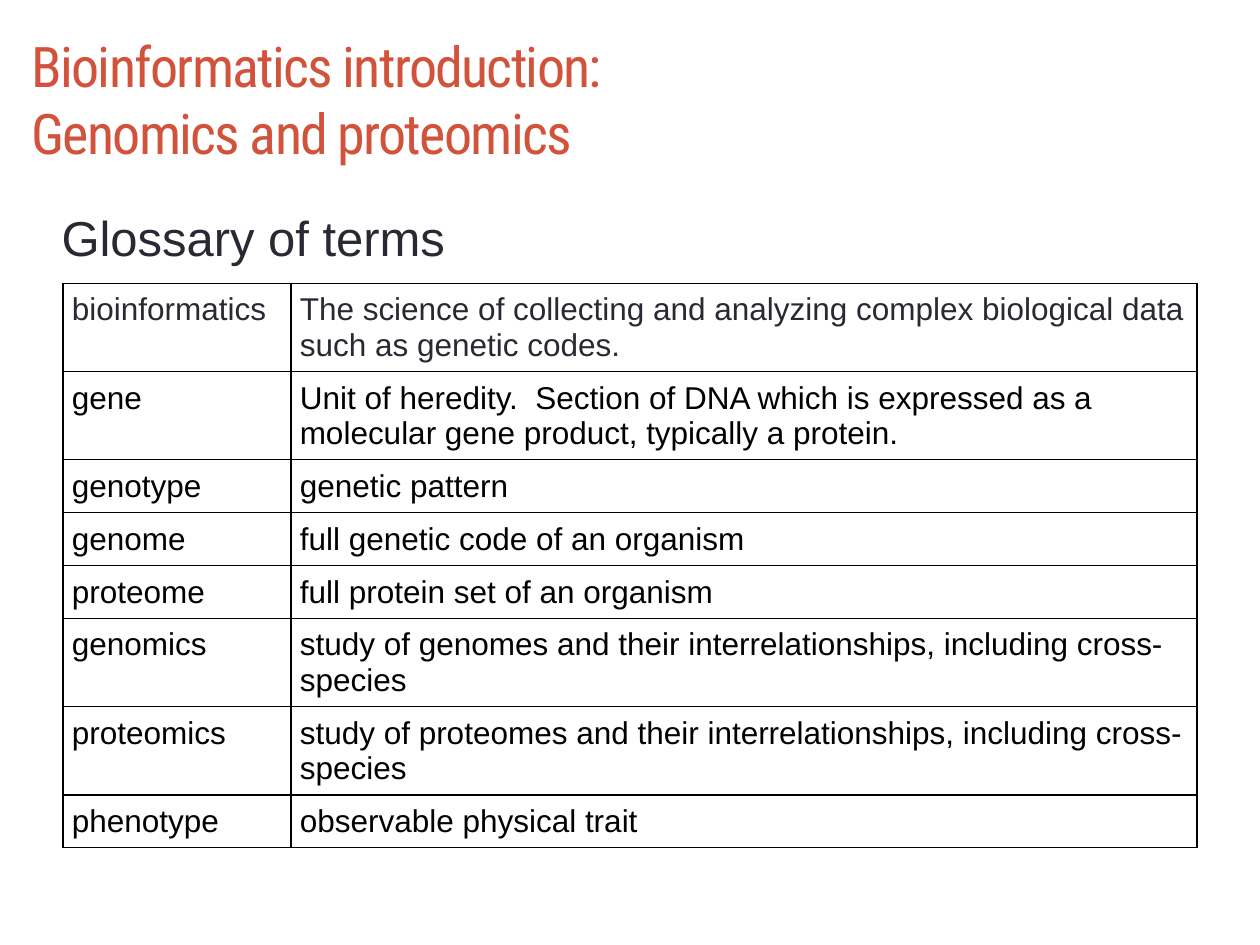
from dataclasses import dataclass

from lxml import etree
from pptx import Presentation
from pptx.dml.color import RGBColor
from pptx.enum.text import MSO_ANCHOR, MSO_AUTO_SIZE, PP_ALIGN
from pptx.oxml.ns import qn
from pptx.util import Inches, Pt

TOP = MSO_ANCHOR.TOP
LEFT = PP_ALIGN.LEFT
NO_FIT = MSO_AUTO_SIZE.NONE
FIT_SHAPE = MSO_AUTO_SIZE.SHAPE_TO_FIT_TEXT
TITLE_ONLY = 5
BORDER_SIDES = ("a:lnL", "a:lnR", "a:lnT", "a:lnB")


@dataclass(frozen=True)
class Theme:
    heading_font: str = "Roboto Condensed"
    body_font: str = "Arial"
    accent: str = "D2533C"
    dark: str = "292934"
    black: str = "000000"
    title_size: int = 32
    subtitle_size: int = 28
    body_size: int = 18
    title_spacing: int = -1
    border_width: float = 0.75


THEME = Theme()

COLUMN_WIDTHS = (1.81, 7.19)
ONE_LINE, TWO_LINES = 0.42, 0.7
CELL_MARGIN = 0.07

GLOSSARY = [
    ("bioinformatics", "The science of collecting and analyzing complex "
     "biological data such as genetic codes.", TWO_LINES),
    ("gene", "Unit of heredity.  Section of DNA which is expressed as a "
     "molecular gene product, typically a protein.", TWO_LINES),
    ("genotype", "genetic pattern", ONE_LINE),
    ("genome", "full genetic code of an organism", ONE_LINE),
    ("proteome", "full protein set of an organism", ONE_LINE),
    ("genomics", "study of genomes and their interrelationships, "
     "including cross-species", TWO_LINES),
    ("proteomics", "study of proteomes and their interrelationships, "
     "including cross-species", TWO_LINES),
    ("phenotype", "observable physical trait", ONE_LINE),
]


def style_paragraph(para, font_name, size, color):
    para.alignment = LEFT
    para.font.name = font_name
    para.font.size = Pt(size)
    para.font.bold = False
    para.font.color.rgb = RGBColor.from_string(color)


def add_title(page, text):
    title = page.shapes.title
    title.left, title.top = Inches(0.15), Inches(0.17)
    title.width, title.height = Inches(9.57), Inches(1.78)
    frame = title.text_frame
    frame.text = text
    frame.word_wrap = True
    frame.auto_size = NO_FIT
    frame.vertical_anchor = TOP
    frame.margin_top = Inches(0.08)
    para = frame.paragraphs[0]
    style_paragraph(para, THEME.heading_font, THEME.title_size, THEME.accent)
    for span in para.runs:
        span.font._element.set("spc", str(THEME.title_spacing * 100))


def add_subtitle(page, text):
    box = page.shapes.add_textbox(
        Inches(0.39), Inches(1.6), Inches(3.28), Inches(0.57))
    frame = box.text_frame
    frame.text = text
    frame.word_wrap = False
    frame.auto_size = FIT_SHAPE
    style_paragraph(frame.paragraphs[0], THEME.body_font,
                    THEME.subtitle_size, THEME.dark)


def add_borders(cell):
    properties = cell._tc.get_or_add_tcPr()
    for position, side in enumerate(BORDER_SIDES):
        line = etree.Element(qn(side), w=str(Pt(THEME.border_width)))
        fill = etree.SubElement(line, qn("a:solidFill"))
        etree.SubElement(fill, qn("a:srgbClr"), val=THEME.black)
        properties.insert(position, line)


def fill_cell(cell, text, color):
    cell.text = text
    cell.margin_left = cell.margin_right = Inches(CELL_MARGIN)
    cell.margin_top = cell.margin_bottom = Inches(CELL_MARGIN)
    cell.vertical_anchor = TOP
    cell.fill.background()
    style_paragraph(cell.text_frame.paragraphs[0], THEME.body_font,
                    THEME.body_size, color)
    add_borders(cell)


def add_glossary(page, entries):
    height = sum(row_height for _, _, row_height in entries)
    table = page.shapes.add_table(
        len(entries), len(COLUMN_WIDTHS), Inches(0.5), Inches(2.25),
        Inches(sum(COLUMN_WIDTHS)), Inches(height)).table
    table.first_row = False
    table.horz_banding = False
    for column, width in zip(table.columns, COLUMN_WIDTHS):
        column.width = Inches(width)
    for index, (term, meaning, row_height) in enumerate(entries):
        table.rows[index].height = Inches(row_height)
        color = THEME.dark if index == 0 else THEME.black
        fill_cell(table.cell(index, 0), term, color)
        fill_cell(table.cell(index, 1), meaning, color)


def main():
    deck = Presentation()
    deck.slide_width, deck.slide_height = Inches(10), Inches(7.5)
    page = deck.slides.add_slide(deck.slide_layouts[TITLE_ONLY])
    add_title(page, "Bioinformatics introduction:\vGenomics and proteomics")
    add_glossary(page, GLOSSARY)
    add_subtitle(page, "Glossary of terms")
    deck.save("out.pptx")


if __name__ == "__main__":
    main()
